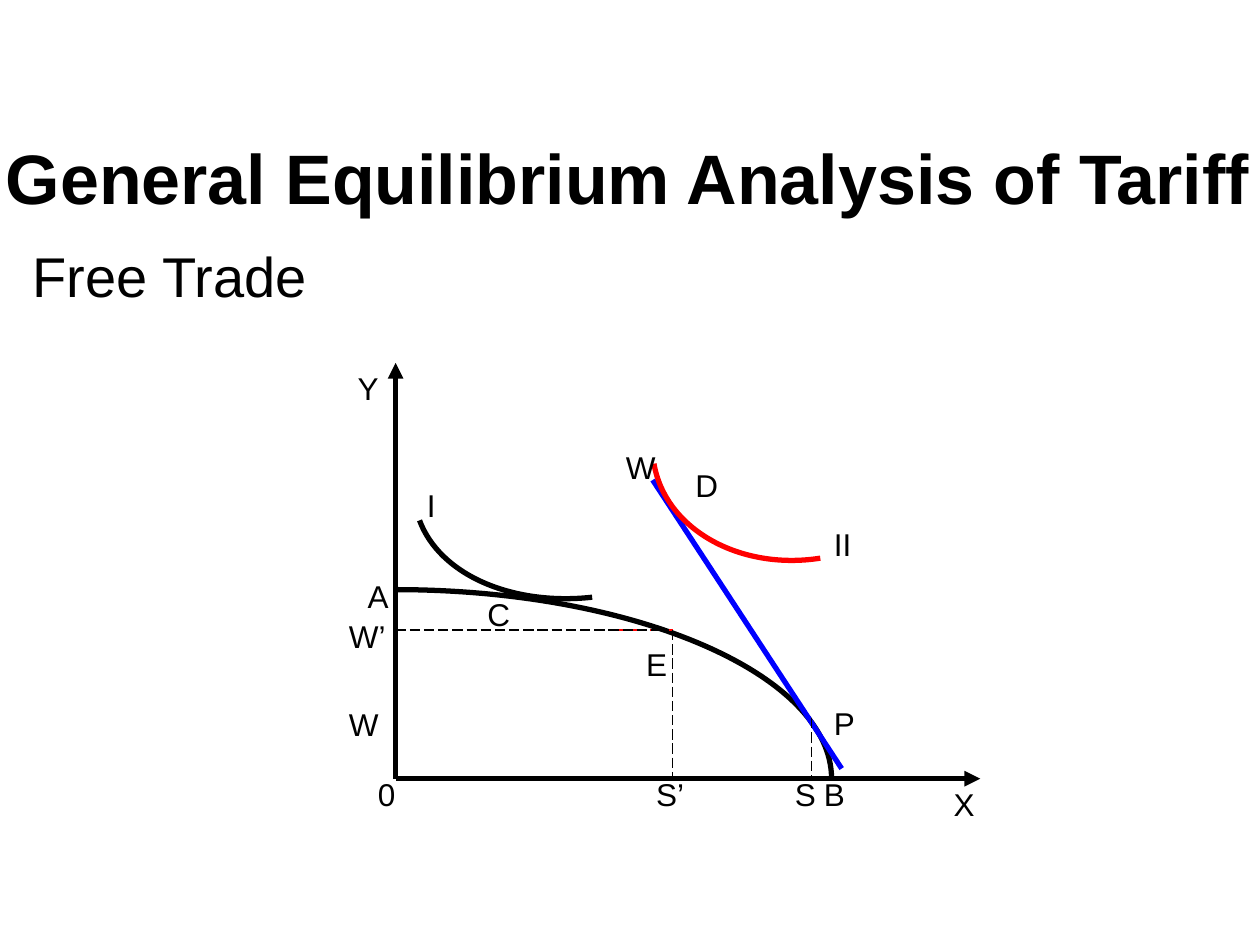
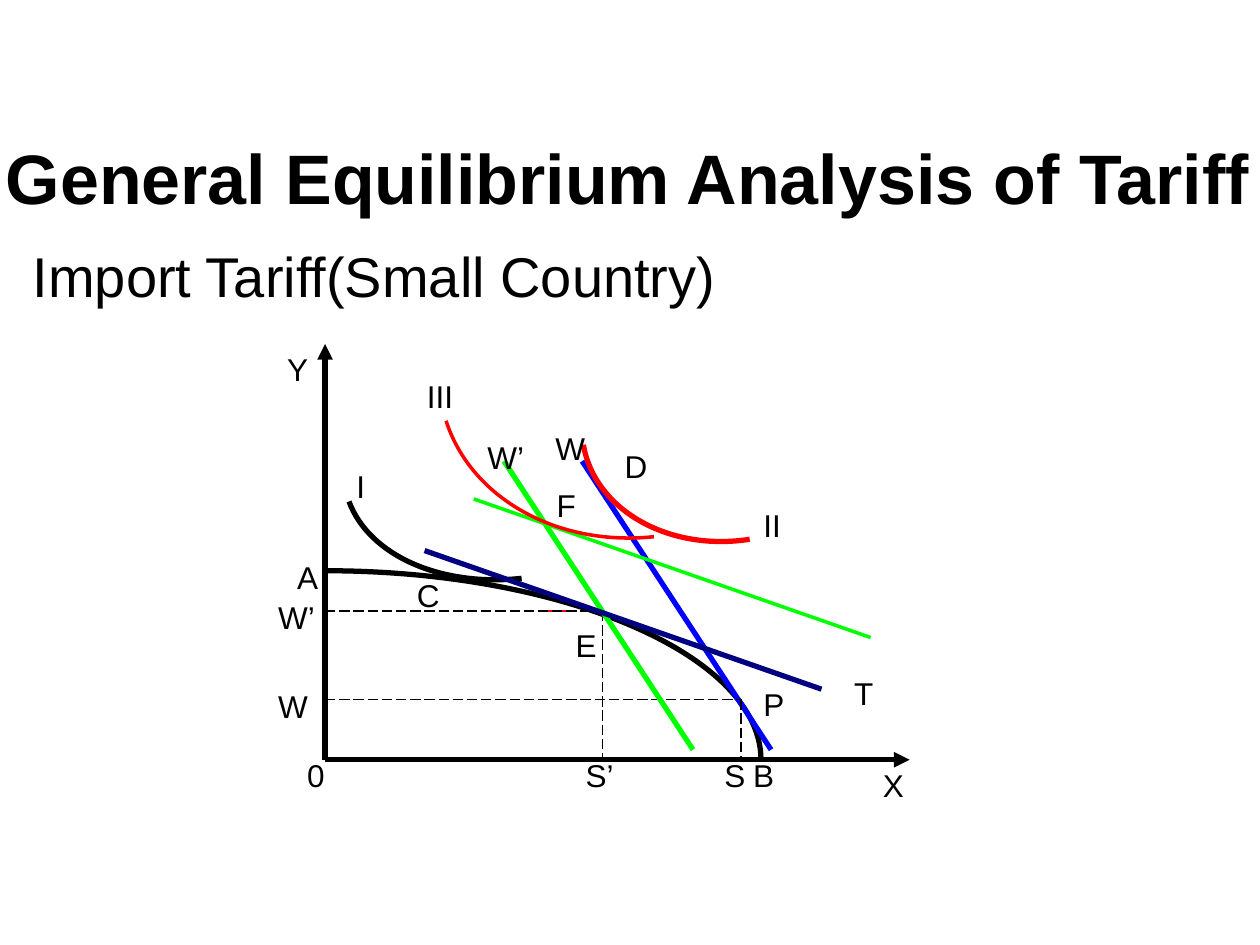
from lxml.etree import SubElement
from pptx import Presentation
from pptx.dml.color import RGBColor
from pptx.enum.dml import MSO_LINE
from pptx.enum.shapes import MSO_CONNECTOR
from pptx.enum.text import MSO_ANCHOR, MSO_AUTO_SIZE as AutoSize, PP_ALIGN
from pptx.oxml.ns import qn
from pptx.util import Inches, Pt

BLACK = RGBColor(0x00, 0x00, 0x00)
RED = RGBColor(0xFF, 0x00, 0x00)
BLUE = RGBColor(0x00, 0x00, 0xFF)
GREEN = RGBColor(0x00, 0xFF, 0x00)
NAVY = RGBColor(0x00, 0x00, 0x80)
FONT = "Arial"
TITLE = "General Equilibrium Analysis of Tariff"
TITLE_BOX = (-0.12, 1.09, 10.2, 0.62)
BODY_BOX = (0.16, 1.87, 9, 4.21)

LABEL_WIDTHS = {"I": 0.27, "II": 0.34, "III": 0.41, "W": 0.43, "W’": 0.49,
                "S’": 0.42, "0": 0.34, "T": 0.35, "F": 0.35, "C": 0.38, "D": 0.38}
LABEL_WIDTH, LABEL_HEIGHT = 0.36, 0.4

PRODUCTION_FRONTIER = [(0, -1.5), (1.91, -1.5), (3.46, -0.82), (3.46, 0)]
INDIFFERENCE_I = [(1.56, -1.44), (0.92, -1.37), (0.35, -1.62), (0.19, -2.05)]
INDIFFERENCE_II = [(3.37, -1.75), (2.73, -1.65), (2.14, -1.98), (2.05, -2.5)]
INDIFFERENCE_III = [(2.61, -1.77), (1.85, -1.69), (1.16, -2.07), (0.96, -2.69)]

FREE_TRADE_LABELS = [
    ("A", -0.32, -1.65), ("II", 3.38, -2.06), ("I", 0.15, -2.37), ("W", 1.73, -2.67),
    ("Y", -0.4, -3.3), ("0", -0.24, -0.08), ("B", 3.3, -0.08), ("X", 4.33, 0),
    ("E", 1.89, -1.11), ("P", 3.38, -0.64), ("W’", -0.47, -1.33), ("W", -0.47, -0.63),
    ("S’", 1.97, -0.08), ("S", 3.07, -0.08), ("C", 0.63, -1.51), ("D", 2.28, -2.53),
]
TARIFF_LABELS = [("W’", 1.19, -2.6), ("T", 4.1, -0.73), ("III", 0.71, -3.09), ("F", 1.74, -2.22)]


def place(origin, point):
    """Turn a point measured from the diagram origin into slide lengths."""
    return tuple(Inches(start + offset) for start, offset in zip(origin, point))


def set_font(paragraph, size, bold=False):
    """Give a paragraph the deck's font."""
    font = paragraph.font
    font.name, font.size, font.bold = FONT, Pt(size), bold
    font.color.rgb = BLACK


def fill_placeholder(placeholder, box, text, size, bold=False):
    """Move a placeholder, write its text and return its paragraph."""
    placeholder.left, placeholder.top, placeholder.width, placeholder.height = map(Inches, box)
    frame = placeholder.text_frame
    frame.text = text
    frame.auto_size = AutoSize.NONE
    paragraph = frame.paragraphs[0]
    paragraph.space_before = Pt(0)
    set_font(paragraph, size, bold)
    return paragraph


def add_heading(slide, subtitle):
    """Fill the title and the unbulleted line below it."""
    title = slide.shapes.title
    fill_placeholder(title, TITLE_BOX, TITLE, 40, bold=True).alignment = PP_ALIGN.CENTER
    title.text_frame.vertical_anchor = MSO_ANCHOR.MIDDLE
    paragraph = fill_placeholder(slide.placeholders[1], BODY_BOX, subtitle, 32)
    properties = paragraph._p.get_or_add_pPr()
    properties.set("marL", "0")
    properties.set("indent", "0")
    bullet_off = SubElement(properties, qn("a:buNone"))
    properties.remove(bullet_off)
    properties.insert_element_before(bullet_off, "a:tabLst", "a:defRPr", "a:extLst")


def add_line(slide, origin, start, end, color=BLACK, width=3, dash=None, arrow=False):
    """Draw a straight line between two diagram points."""
    connector = slide.shapes.add_connector(
        MSO_CONNECTOR.STRAIGHT, *place(origin, start), *place(origin, end))
    connector.line.color.rgb = color
    connector.line.width = Pt(width)
    if dash:
        connector.line.dash_style = dash
    properties = connector.element.spPr
    if arrow:
        SubElement(properties.find(qn("a:ln")), qn("a:tailEnd"), type="triangle")
    SubElement(properties, qn("a:effectLst"))


def add_curve(slide, origin, points, color=BLACK, width=3):
    """Draw one cubic curve from its two ends and two control points."""
    start, *others = [place(origin, point) for point in points]
    builder = slide.shapes.build_freeform(*start)
    builder.add_line_segments(others, close=False)
    shape = builder.convert_to_shape()
    segments = list(shape.element.iter(qn("a:lnTo")))
    curve = SubElement(segments[0].getparent(), qn("a:cubicBezTo"))
    for segment in segments:
        curve.append(segment[0])
        segment.getparent().remove(segment)
    shape.fill.background()
    shape.line.color.rgb = color
    shape.line.width = Pt(width)
    shape.shadow.inherit = False


def add_label(slide, origin, text, left, top):
    """Write one letter label at a diagram point."""
    width = LABEL_WIDTHS.get(text, LABEL_WIDTH)
    box = slide.shapes.add_textbox(
        *place(origin, (left, top)), Inches(width), Inches(LABEL_HEIGHT))
    frame = box.text_frame
    frame.text = text
    frame.word_wrap = False
    frame.auto_size = AutoSize.SHAPE_TO_FIT_TEXT
    set_font(frame.paragraphs[0], 18)


def add_free_trade_diagram(slide, origin, import_level):
    """Draw axes, frontier, world price line, guides and their labels."""
    for axis_end in ((0, -3.3), (4.64, 0)):
        add_line(slide, origin, (0, 0), axis_end, arrow=True)
    add_curve(slide, origin, PRODUCTION_FRONTIER)
    add_line(slide, origin, (2.04, -2.37), (3.54, -0.08), BLUE)
    add_curve(slide, origin, INDIFFERENCE_II, RED)
    add_curve(slide, origin, INDIFFERENCE_I)
    add_line(slide, origin, (1.73, -1.18), (2.2, -1.18), RED, 1.5, MSO_LINE.DASH)
    guides = [((0, import_level), (3.3, import_level)), ((3.3, -0.48), (3.3, 0)),
              ((0, -1.18), (2.12, -1.18)), ((2.2, -1.18), (2.2, 0))]
    for start, end in guides:
        add_line(slide, origin, start, end, width=0.75, dash=MSO_LINE.LONG_DASH)
    for label in FREE_TRADE_LABELS:
        add_label(slide, origin, *label)


def add_tariff_effects(slide, origin):
    """Add the tariff price lines and the third indifference curve."""
    add_line(slide, origin, (1.42, -2.37), (2.92, -0.08), GREEN)
    add_line(slide, origin, (0.79, -1.66), (3.94, -0.56), NAVY)
    add_line(slide, origin, (1.18, -2.07), (4.33, -0.97), GREEN, 2)
    add_curve(slide, origin, INDIFFERENCE_III, RED, 2)
    for label in TARIFF_LABELS:
        add_label(slide, origin, *label)


def add_diagram_slide(presentation, subtitle, origin, import_level):
    """Add a slide with its heading and the free trade diagram."""
    slide = presentation.slides.add_slide(presentation.slide_layouts[1])
    add_heading(slide, subtitle)
    add_free_trade_diagram(slide, origin, import_level)
    return slide


def main():
    """Build both slides and save them."""
    presentation = Presentation()
    presentation.slide_width, presentation.slide_height = Inches(10), Inches(7.5)
    add_diagram_slide(presentation, "Free Trade", (3.14, 6.18), -0.01)
    tariff_origin = (2.58, 6.03)
    tariff_slide = add_diagram_slide(
        presentation, "Import Tariff(Small Country)", tariff_origin, -0.48)
    add_tariff_effects(tariff_slide, tariff_origin)
    presentation.save("out.pptx")


if __name__ == "__main__":
    main()
